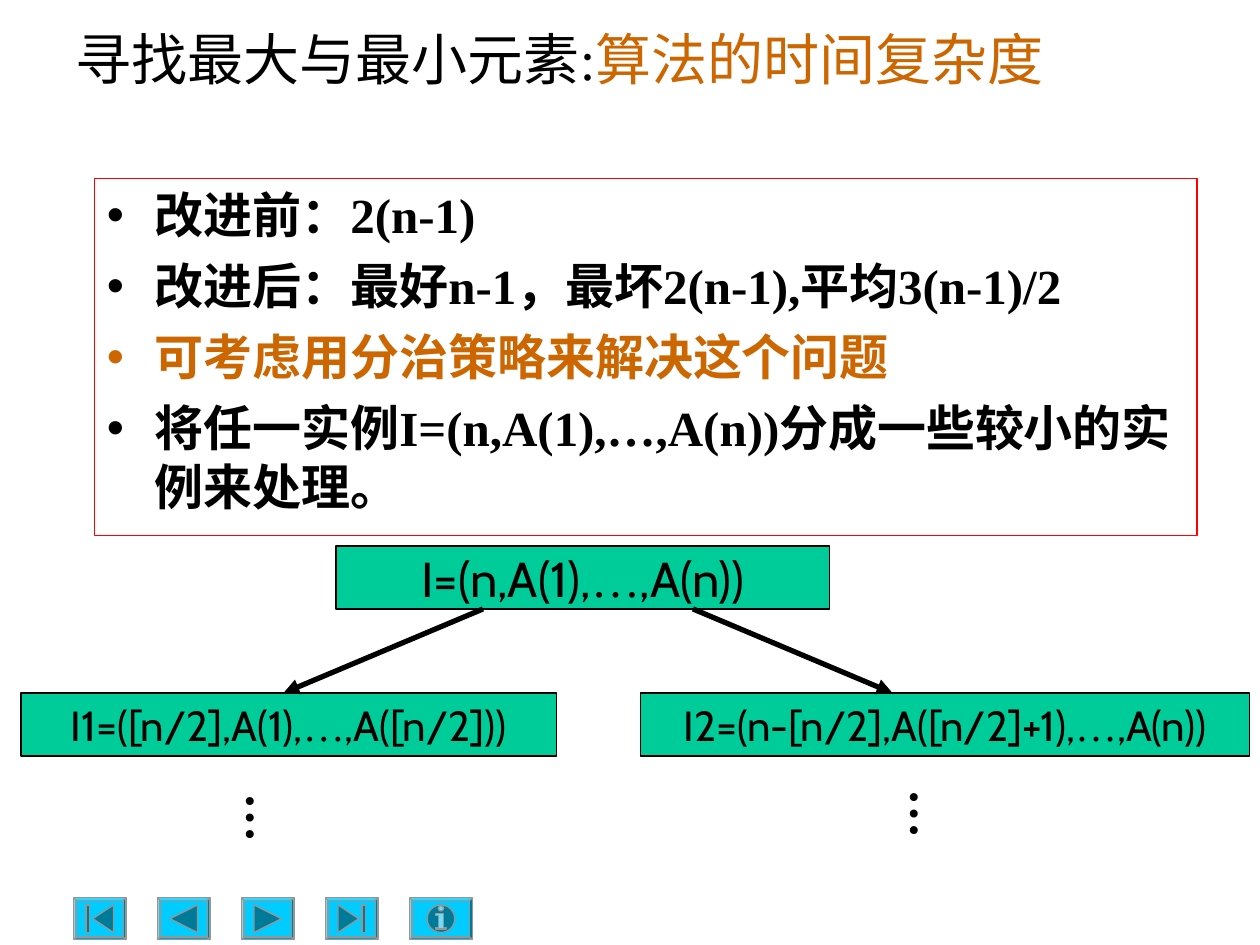
from lxml import etree
from pptx import Presentation
from pptx.dml.color import RGBColor
from pptx.enum.shapes import MSO_CONNECTOR, MSO_SHAPE
from pptx.enum.text import MSO_ANCHOR, PP_ALIGN
from pptx.oxml.ns import qn
from pptx.util import Inches, Pt

RECT = MSO_SHAPE.RECTANGLE
BEVEL = MSO_SHAPE.BEVEL
STRAIGHT = MSO_CONNECTOR.STRAIGHT
MIDDLE = MSO_ANCHOR.MIDDLE
CENTER = PP_ALIGN.CENTER
BUTTONS = (
    MSO_SHAPE.ACTION_BUTTON_BEGINNING,
    MSO_SHAPE.ACTION_BUTTON_BACK_OR_PREVIOUS,
    MSO_SHAPE.ACTION_BUTTON_FORWARD_OR_NEXT,
    MSO_SHAPE.ACTION_BUTTON_END,
    MSO_SHAPE.ACTION_BUTTON_INFORMATION,
)


def color(code):
    return RGBColor.from_string(code)


def unit(n):
    """Twelve grid cells to the inch: 120 columns by 90 rows."""
    return Inches(n / 12)


class Deck:
    black, orange, red = "000000", "CC6600", "FF0000"
    green, cyan, gray = "00CC99", "00CCFF", "969696"
    serif, sans, round = "Times New Roman", "Arial", "Cabin"

    def __init__(self):
        self.prs = Presentation()
        self.prs.slide_width, self.prs.slide_height = unit(120), unit(90)
        self.slide = self.prs.slides.add_slide(self.prs.slide_layouts[6])

    def shape(self, kind, area, fill, line):
        item = self.slide.shapes.add_shape(kind, *map(unit, area))
        item.shadow.inherit = False
        item.fill.solid()
        item.fill.fore_color.rgb = color(fill)
        item.line.color.rgb = color(line)
        item.line.width = Pt(0.75)
        return item

    def box(self, area, wrap=True):
        item = self.slide.shapes.add_textbox(*map(unit, area))
        item.text_frame.word_wrap = wrap
        return item

    def style(self, run, size, face, tint=black, bold=False):
        font = run.font
        font.size, font.name, font.bold = Pt(size), face, bold
        font.color.rgb = color(tint)

    def title(self, area, parts):
        frame = self.box(area).text_frame
        frame.vertical_anchor = MIDDLE
        for text, face, tint in parts:
            run = frame.paragraphs[0].add_run()
            run.text = text
            self.style(run, 32, face, tint)

    def bullets(self, area, items):
        item = self.box(area)
        item.line.color.rgb = color(self.red)
        item.line.width = Pt(0.75)
        frame = item.text_frame
        frame.text = "\n".join(text for text, _ in items)
        for i, (para, (_, tint)) in enumerate(zip(frame.paragraphs, items)):
            props = para._p.get_or_add_pPr()
            props.set("marL", str(Inches(0.38)))
            props.set("indent", str(Inches(-0.38)))
            para.space_before = Pt(7 if i else 0)
            etree.SubElement(props, qn("a:buFont")).set("typeface", self.sans)
            etree.SubElement(props, qn("a:buChar")).set("char", "•")
            self.style(para.runs[0], 28, self.serif, tint, True)

    def node(self, area, head, tail, size):
        frame = self.shape(RECT, area, self.green, self.black).text_frame
        frame.word_wrap = False
        frame.vertical_anchor = MIDDLE
        para = frame.paragraphs[0]
        para.alignment = CENTER
        for text in (head, "…", tail):
            run = para.add_run()
            run.text = text
            self.style(run, size, self.serif if text == "…" else self.round)

    def arrow(self, start, end):
        item = self.slide.shapes.add_connector(
            STRAIGHT, *map(unit, start + end))
        item.line.color.rgb = color(self.black)
        item.line.width = Pt(3)
        etree.SubElement(item.line._get_or_add_ln(),
                         qn("a:tailEnd")).set("type", "triangle")
        etree.SubElement(item._element.spPr, qn("a:effectLst"))

    def dots(self, left, top):
        frame = self.box((left, top, 8, 6), False).text_frame
        frame.margin_left = frame.margin_right = Inches(0.05)
        frame.margin_top = frame.margin_bottom = Inches(0.1)
        frame._txBody.bodyPr.set("vert", "eaVert")
        frame.text = "…"
        self.style(frame.paragraphs[0].runs[0], 28, self.serif, bold=True)

    def button(self, kind, left, top, width, high=4, edge=0.25):
        rim = self.shape(BEVEL, (left, top, width, high), self.cyan, self.gray)
        rim.adjustments[0] = edge / high
        face = (left + edge, top + edge, width - 2 * edge, high - 2 * edge)
        self.shape(kind, face, self.cyan, self.gray)


def main():
    deck = Deck()

    # Claims about running time
    deck.bullets((9, 17, 105, 34), (
        ("改进前：2(n-1)", deck.black),
        ("改进后：最好n-1，最坏2(n-1),平均3(n-1)/2", deck.black),
        ("可考虑用分治策略来解决这个问题", deck.orange),
        ("将任一实例I=(n,A(1),…,A(n))分成一些较小的实例来处理。", deck.black),
    ))

    # Tree: the instance and its two halves
    deck.node((32, 52, 47, 6), "I=(n,A(1),", ",A(n))", 28)
    deck.node((2, 66, 51, 6), "I1=([n/2],A(1),", ",A([n/2]))", 24)
    deck.node((61, 66, 58, 6), "I2=(n-[n/2],A([n/2]+1),", ",A(n))", 24)
    deck.arrow((46, 58), (27, 66))
    deck.arrow((66, 58), (85, 66))
    deck.dots(20.75, 74.4)
    deck.dots(84, 74)

    # Title
    deck.title((6, 0, 108, 11), (
        ("寻找最大与最小元素:", deck.serif, deck.black),
        ("算法的时间复杂度", deck.sans, deck.orange),
    ))

    # Navigation row, the last button one column wider
    for i, kind in enumerate(BUTTONS):
        deck.button(kind, 7 + 8 * i, 85.5, 6 if kind == BUTTONS[-1] else 5)

    deck.prs.save("out.pptx")


if __name__ == "__main__":
    main()
